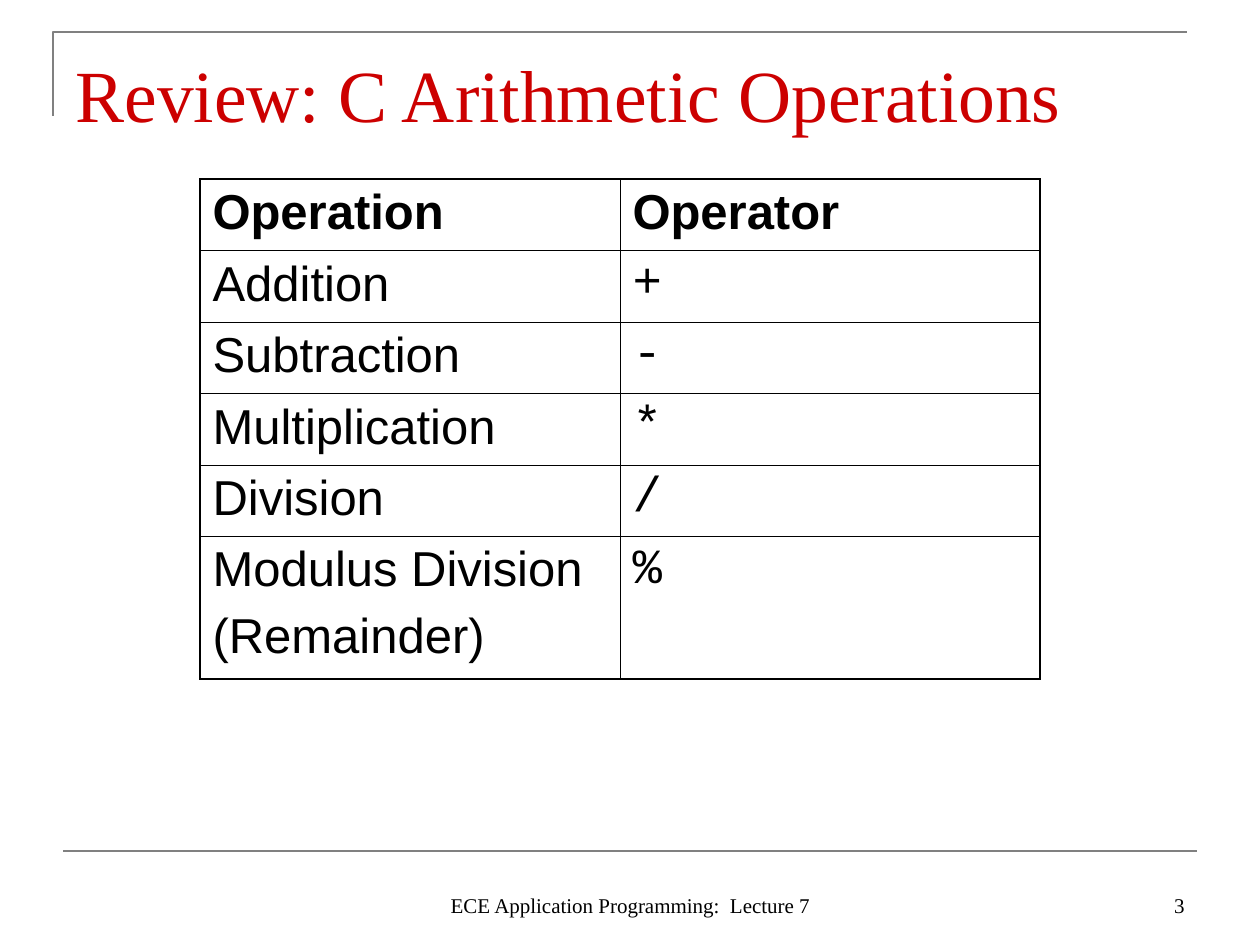
from lxml.etree import SubElement
from pptx import Presentation
from pptx.dml.color import RGBColor
from pptx.enum.shapes import MSO_CONNECTOR
from pptx.enum.text import MSO_ANCHOR, PP_ALIGN
from pptx.oxml.ns import qn
from pptx.util import Emu, Pt

EMU_PER_PX = 914400 / 126
COLORS = {"rule": "808080", "title": "CC0000", "text": "000000", "page": "FFFFFF"}
TITLE_FONT = {"name": "Times New Roman", "size": Pt(42), "bold": False}
FOOTER_FONT = {"name": "Times New Roman", "size": Pt(12)}
HEADER_FONT = {"name": "Arial", "size": Pt(28), "bold": True}
LABEL_FONT = {**HEADER_FONT, "bold": False}
CODE_FONT = {**LABEL_FONT, "name": "Courier New"}
OUTER_BORDER, INNER_BORDER = 1.08, 0.45

OPERATIONS = [
    ("Operation", "Operator"),
    ("Addition", "+"),
    ("Subtraction", "-"),
    ("Multiplication", "*"),
    ("Division", "/"),
    ("Modulus Division\n(Remainder)", "%"),
]


def px(value):
    return Emu(round(value * EMU_PER_PX))


def color(name):
    return RGBColor.from_string(COLORS[name])


def set_attributes(target, values):
    for name, value in values.items():
        setattr(target, name, value)


def write_text(frame, text, font, color_name="text", alignment=PP_ALIGN.LEFT):
    frame.word_wrap = True
    frame.text = text
    for index, paragraph in enumerate(frame.paragraphs):
        paragraph.alignment = alignment
        paragraph.space_before = Pt(7 if index else 0)
        for run in paragraph.runs:
            set_attributes(run.font, font)
            run.font.color.rgb = color(color_name)


def format_rule(shape):
    shape.line.color.rgb = color("rule")
    shape.line.width = Pt(1.5)


def add_corner_frame(slide, left, top, width, height):
    builder = slide.shapes.build_freeform(px(left), px(top + height))
    builder.add_line_segments(
        [(px(left), px(top)), (px(left + width), px(top))], close=False
    )
    frame = builder.convert_to_shape()
    frame.shadow.inherit = False
    frame.fill.background()
    format_rule(frame)


def add_footer_rule(slide, left, top, width):
    rule = slide.shapes.add_connector(
        MSO_CONNECTOR.STRAIGHT, px(left), px(top), px(left + width), px(top)
    )
    format_rule(rule)
    SubElement(rule._element.spPr, qn("a:effectLst"))


def place_title(slide, left, top, width, height, text):
    title = slide.shapes.title
    set_attributes(title, {"left": px(left), "top": px(top),
                           "width": px(width), "height": px(height)})
    set_attributes(title.text_frame, {"vertical_anchor": MSO_ANCHOR.BOTTOM,
                                      "margin_top": 0, "margin_bottom": 0})
    write_text(title.text_frame, text, TITLE_FONT, "title")


def add_footer_text(slide, left, top, width, height, text, alignment):
    box = slide.shapes.add_textbox(px(left), px(top), px(width), px(height))
    box.text_frame.vertical_anchor = MSO_ANCHOR.BOTTOM
    write_text(box.text_frame, text, FOOTER_FONT, alignment=alignment)


def set_borders(cell, outer_sides):
    properties = cell._tc.get_or_add_tcPr()
    for side in "LRTB":
        width = OUTER_BORDER if side in outer_sides else INNER_BORDER
        line = SubElement(properties, qn(f"a:ln{side}"), w=str(Pt(width)))
        fill = SubElement(line, qn("a:solidFill"))
        SubElement(fill, qn("a:srgbClr"), val=COLORS["text"])


def add_operations_table(slide, left, top, width, row_height, rows):
    row_lines = [max(text.count("\n") + 1 for text in row) for row in rows]
    row_count, column_count = len(rows), len(rows[0])
    table = slide.shapes.add_table(
        row_count, column_count, px(left), px(top), px(width),
        px(row_height * sum(row_lines))
    ).table
    for column in table.columns:
        column.width = px(width / column_count)
    for row_index, row in enumerate(rows):
        table.rows[row_index].height = px(row_height * row_lines[row_index])
        for column_index, text in enumerate(row):
            cell = table.cell(row_index, column_index)
            edges = {"L": column_index == 0, "R": column_index == column_count - 1,
                     "T": row_index == 0, "B": row_index == row_count - 1}
            set_borders(cell, [side for side, is_outer in edges.items() if is_outer])
            cell.fill.background()
            body_font = CODE_FONT if column_index else LABEL_FONT
            write_text(cell.text_frame, text, body_font if row_index else HEADER_FONT)


def build_slide(presentation):
    slide = presentation.slides.add_slide(presentation.slide_layouts[5])
    slide.background.fill.solid()
    slide.background.fill.fore_color.rgb = color("page")
    add_corner_frame(slide, 53, 32, 1134, 84)
    add_footer_rule(slide, 63, 851, 1134)
    add_footer_text(slide, 903, 861, 294, 63, "3", PP_ALIGN.RIGHT)
    place_title(slide, 63, 38, 1134, 99, "Review: C Arithmetic Operations")
    add_operations_table(slide, 200, 179, 840, 71, OPERATIONS)
    add_footer_text(slide, 431, 861, 399, 63,
                    "ECE Application Programming:  Lecture 7", PP_ALIGN.CENTER)


def main():
    presentation = Presentation()
    presentation.slide_width = px(1260)
    presentation.slide_height = px(945)
    build_slide(presentation)
    presentation.save("out.pptx")


if __name__ == "__main__":
    main()
